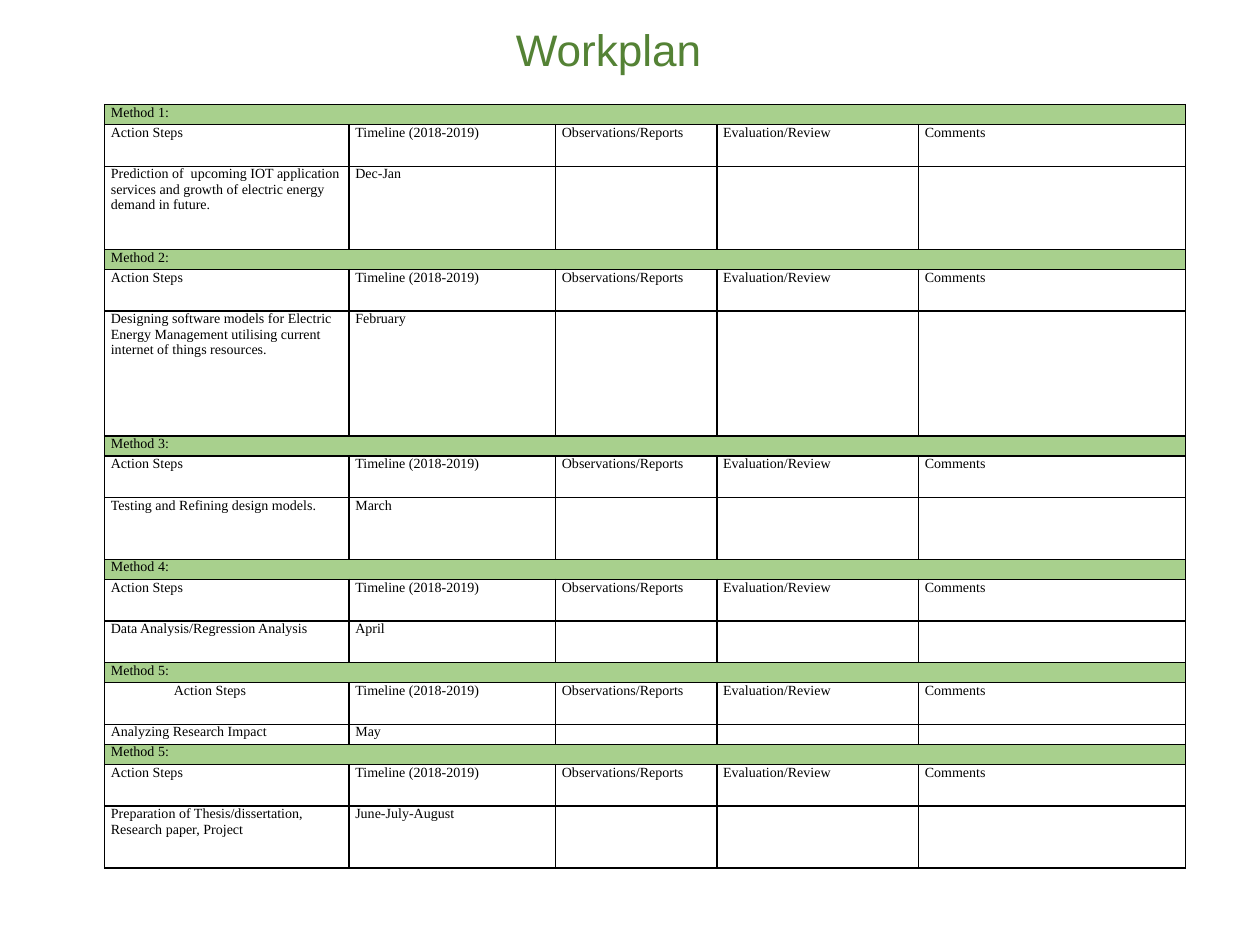
from lxml.etree import SubElement
from pptx import Presentation
from pptx.dml.color import RGBColor
from pptx.enum.text import MSO_ANCHOR, MSO_AUTO_SIZE, PP_ALIGN
from pptx.oxml.ns import qn
from pptx.util import Inches, Pt

GREEN, BAND, BLACK = "548235", "A8D08D", "000000"
COL_WIDTHS = [1.94, 1.64, 1.28, 1.6, 2.12]
BAND_HEIGHT, HEADER_HEIGHT = 0.16, 0.33
HEADERS = ["Action Steps", "Timeline (2018-2019)", "Observations/Reports",
           "Evaluation/Review", "Comments"]
# Method, action step, timeline, height of the step row
METHODS = [
    ("Method 1:", "Prediction of  upcoming IOT application services and growth "
     "of electric energy demand in future.", "Dec-Jan", 0.66),
    ("Method 2:", "Designing software models for Electric Energy Management "
     "utilising current internet of things resources.", "February", 0.99),
    ("Method 3:", "Testing and Refining design models.", "March", 0.49),
    ("Method 4:", "Data Analysis/Regression Analysis", "April", 0.33),
    ("Method 5:", "Analyzing Research Impact", "May", 0.16),
    ("Method 5:", "Preparation of Thesis/dissertation, Research paper, Project",
     "June-July-August", 0.49),
]
INDENTED_METHOD = 4


def rgb(color):
    return RGBColor.from_string(color)


def add_title(slide, text):
    sp = slide.shapes.title
    sp.left, sp.top, sp.width, sp.height = map(Inches, (1.08, 0.13, 7.5, 0.52))
    tf = sp.text_frame
    tf.text = text
    tf.auto_size = MSO_AUTO_SIZE.NONE
    tf.vertical_anchor = MSO_ANCHOR.BOTTOM
    p = tf.paragraphs[0]
    p.alignment = PP_ALIGN.CENTER
    p.line_spacing = 0.9
    font = p.runs[0].font
    font.name, font.size = "Arial", Pt(25.2)
    font.color.rgb = rgb(GREEN)


def set_borders(cell):
    tc_pr = cell._tc.get_or_add_tcPr()
    for side in ("lnL", "lnR", "lnT", "lnB"):
        ln = SubElement(tc_pr, qn(f"a:{side}"), w=str(Pt(1)))
        fill = SubElement(ln, qn("a:solidFill"))
        SubElement(fill, qn("a:srgbClr"), val=BLACK)


def format_cell(cell, text, fill):
    set_borders(cell)
    if fill:
        cell.fill.solid()
        cell.fill.fore_color.rgb = rgb(fill)
    else:
        cell.fill.background()
    cell.margin_left = cell.margin_right = Inches(0.05)
    cell.margin_top = cell.margin_bottom = 0
    p = cell.text_frame.paragraphs[0]
    if not text:
        # The end mark's size keeps an empty cell from stretching its row
        SubElement(p._p, qn("a:endParaRPr"), sz="800")
        return
    p.text = text
    font = p.runs[0].font
    font.name, font.size = "Times New Roman", Pt(8)
    font.color.rgb = rgb(BLACK)


def add_workplan(slide):
    rows = []
    for method, step, timeline, height in METHODS:
        rows += [(BAND_HEIGHT, [method] + [""] * 4, BAND),
                 (HEADER_HEIGHT, HEADERS, None),
                 (height, [step, timeline, "", "", ""], None)]
    frame = slide.shapes.add_table(
        len(rows), len(COL_WIDTHS), Inches(0.83), Inches(0.83),
        Inches(sum(COL_WIDTHS)), Inches(sum(row[0] for row in rows)))
    table = frame.table
    table.first_row = table.horz_banding = False
    for column, width in zip(table.columns, COL_WIDTHS):
        column.width = Inches(width)
    for i, (height, texts, fill) in enumerate(rows):
        table.rows[i].height = Inches(height)
        for j, text in enumerate(texts):
            format_cell(table.cell(i, j), text, fill)
        if fill:
            table.cell(i, 0).merge(table.cell(i, len(COL_WIDTHS) - 1))
    indented = table.cell(3 * INDENTED_METHOD + 1, 0).text_frame.paragraphs[0]
    indented._p.get_or_add_pPr().set("indent", str(Inches(0.5)))


def main():
    prs = Presentation()
    prs.slide_width, prs.slide_height = Inches(10), Inches(7.5)
    slide = prs.slides.add_slide(prs.slide_layouts[0])
    subtitle = slide.placeholders[1].element
    subtitle.getparent().remove(subtitle)
    add_title(slide, "Workplan")
    add_workplan(slide)
    prs.save("out.pptx")


if __name__ == "__main__":
    main()
